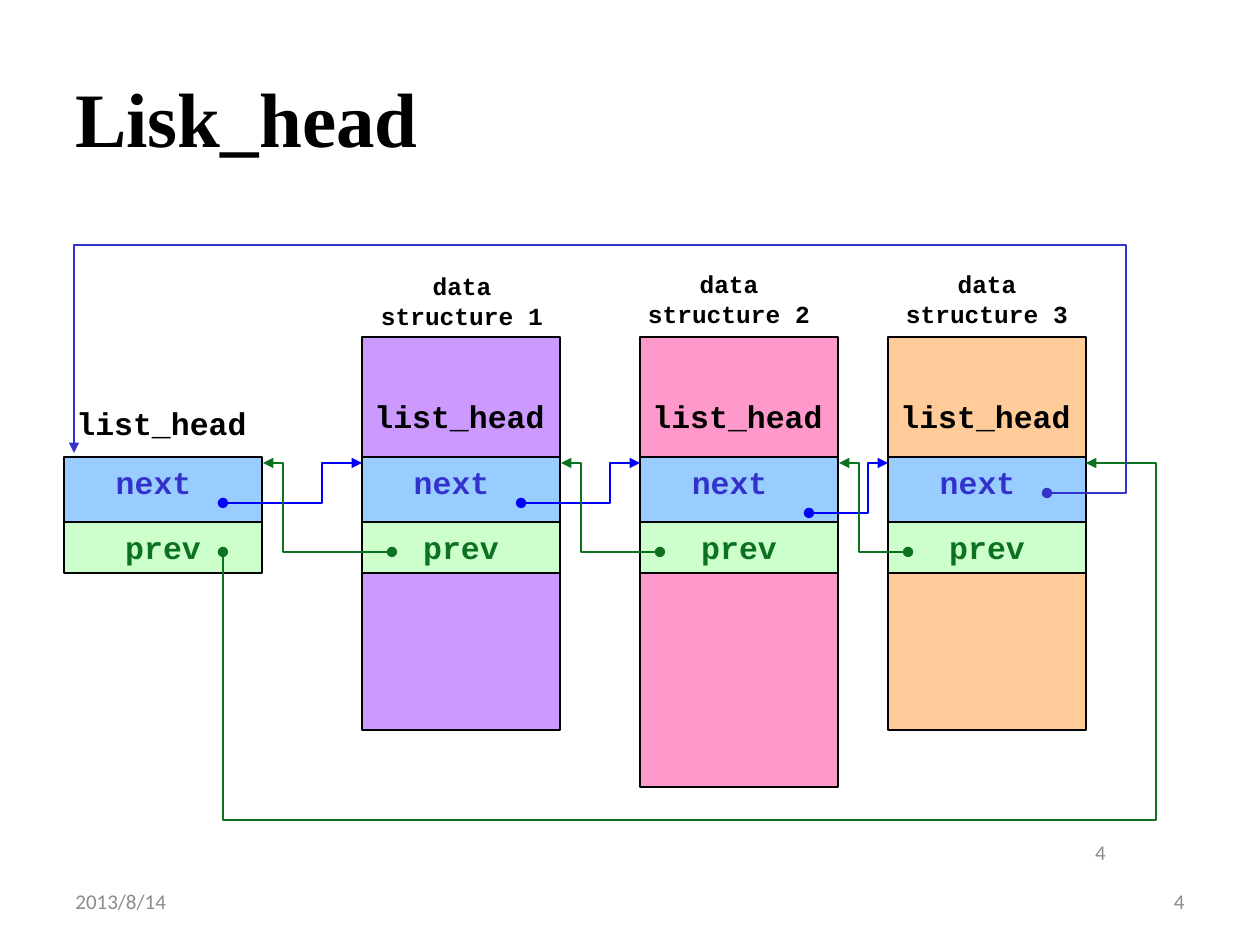
from lxml.etree import SubElement
from pptx import Presentation
from pptx.dml.color import RGBColor
from pptx.enum.shapes import MSO_SHAPE
from pptx.enum.text import MSO_ANCHOR, PP_ALIGN
from pptx.oxml.ns import qn
from pptx.util import Pt

PX = 914400 / 126
COLORS = {
    "text": "000000", "muted": "8C8C8C",
    "next_fill": "99CCFF", "next_text": "3333CC", "next_link": "0000FF",
    "prev_fill": "CCFFCC", "prev": "0C721F",
    "data1": "CC99FF", "data2": "FF99CC", "data3": "FFCC99",
}
MONO = "Courier New"
CELL_W = 198
TOP, NEXT_Y, PREV_Y = 337, 457, 522
NEXT_H, PREV_H = 65, 51
ARROW_Y, PREV_DOT_Y = 463, 552


def px(*values):
    return [round(v * PX) for v in values]


def rgb(name):
    return RGBColor.from_string(COLORS[name])


def write(sp, text, size, color="text", font=MONO, bold=True,
          align=PP_ALIGN.LEFT, anchor=MSO_ANCHOR.TOP):
    tf = sp.text_frame
    tf.word_wrap = True
    tf.vertical_anchor = anchor
    p = tf.paragraphs[0]
    p.text = text
    p.alignment = align
    f = p.runs[0].font
    f.size, f.name, f.bold = Pt(size), font, bold
    f.color.rgb = rgb(color)


def add_text(slide, box, text, size, **style):
    write(slide.shapes.add_textbox(*px(*box)), text, size, **style)


def add_rect(slide, box, fill):
    sp = slide.shapes.add_shape(MSO_SHAPE.RECTANGLE, *px(*box))
    sp.shadow.inherit = False
    sp.fill.solid()
    sp.fill.fore_color.rgb = rgb(fill)
    sp.line.color.rgb = rgb("text")
    sp.line.width = Pt(0.75)
    return sp


def add_link(slide, points, color):
    """Bent line with a dot at its start and an arrow at its end."""
    builder = slide.shapes.build_freeform(*points[0], scale=PX)
    builder.add_line_segments(points[1:], close=False)
    sp = builder.convert_to_shape()
    sp.shadow.inherit = False
    sp.fill.background()
    sp.line.color.rgb = rgb(color)
    sp.line.width = Pt(1)
    ln = sp.line._get_or_add_ln()
    SubElement(ln, qn("a:headEnd"), type="oval")
    SubElement(ln, qn("a:tailEnd"), type="triangle")


def add_elbow(slide, start, bend_x, end, color):
    add_link(slide, [start, (bend_x, start[1]), (bend_x, end[1]), end], color)


def add_pointers(slide, x):
    """The next and prev cells of one list_head."""
    sp = add_rect(slide, (x, NEXT_Y, CELL_W, NEXT_H), "next_fill")
    write(sp, "next ", 18, "next_text", align=PP_ALIGN.CENTER)
    sp = add_rect(slide, (x, PREV_Y, CELL_W, PREV_H), "prev_fill")
    write(sp, "prev", 18, "prev", align=PP_ALIGN.CENTER)


def add_structure(slide, x, height, number, label_x, label_y):
    """A data structure with an embedded list_head and a caption above."""
    sp = add_rect(slide, (x, TOP, CELL_W, height), f"data{number}")
    write(sp, "list_head", 18)
    sp.text_frame.margin_top = px(60)[0]
    add_pointers(slide, x)
    add_text(slide, (label_x, label_y, 218, 72), f"data structure {number}", 14,
             align=PP_ALIGN.CENTER)


def add_list(slide, head_x, structures):
    # Nodes
    for number, (x, height, label_x, label_y) in enumerate(structures, 1):
        add_structure(slide, x, height, number, label_x, label_y)
    add_pointers(slide, head_x)
    add_text(slide, (head_x, 398, 218, 50), "list_head", 18)

    xs = [head_x] + [s[0] for s in structures]

    # Links to the next node: dot x, dot y, bend x
    for (dot_x, dot_y, bend_x), x in zip(
            [(223, 503, 322), (521, 503, 610), (809, 513, 868)], xs[1:]):
        add_elbow(slide, (dot_x, dot_y), bend_x, (x, ARROW_Y), "next_link")

    # Links to the previous node
    for dot_x, x in zip([392, 660, 908], xs):
        right = x + CELL_W + 1
        add_elbow(slide, (dot_x, PREV_DOT_Y), right + 20, (right, ARROW_Y), "prev")

    # Links that close the ring
    add_link(slide, [(223, PREV_DOT_Y), (223, 820), (1156, 820),
                     (1156, ARROW_Y), (xs[-1] + CELL_W, ARROW_Y)], "prev")
    add_link(slide, [(1047, 493), (1126, 493), (1126, 245),
                     (head_x + 10, 245), (head_x + 10, 453)], "next_text")


def add_title(slide, box):
    add_text(slide, box, "Lisk_head", 44, font="Times New Roman",
             anchor=MSO_ANCHOR.MIDDLE)


def add_footer(slide, x, y):
    style = dict(color="muted", font="Calibri", bold=False, anchor=MSO_ANCHOR.MIDDLE)
    add_text(slide, (x, y, 294, 50), "2013/8/14", 12, **style)
    for dx, dy in [(840, 0), (761, -49)]:
        add_text(slide, (x + dx, y + dy, 294, 50), "4", 12,
                 align=PP_ALIGN.RIGHT, **style)


def main():
    prs = Presentation()
    prs.slide_width, prs.slide_height = px(1260, 945)
    slide = prs.slides.add_slide(prs.slide_layouts[6])
    add_title(slide, (63, 38, 1134, 158))
    add_footer(slide, 63, 876)
    # Structures: x, height, caption x, caption y
    add_list(slide, 64, [(362, 393, 353, 265),
                         (640, 450, 620, 263),
                         (888, 393, 878, 263)])
    prs.save("out.pptx")


if __name__ == "__main__":
    main()
